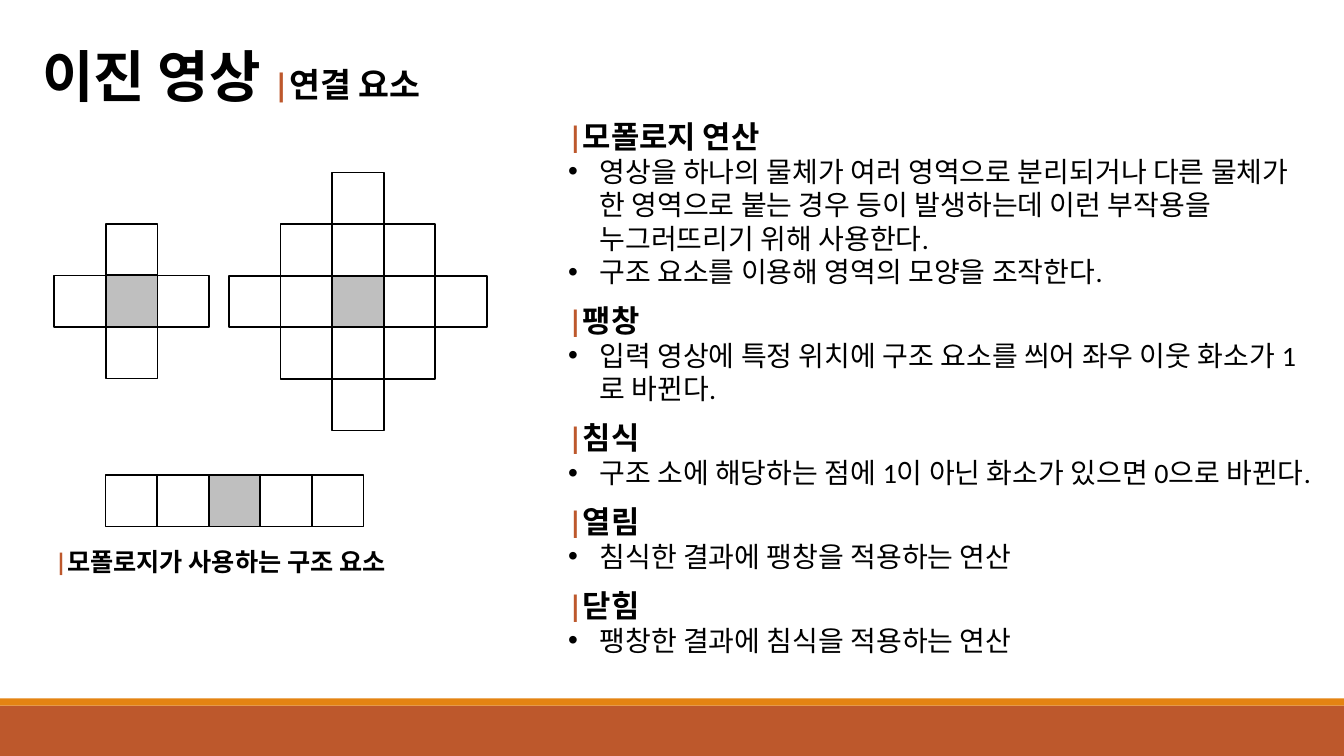
import pptx
import pptx.dml.color
import pptx.enum.shapes
import pptx.enum.text
import pptx.oxml.ns
import pptx.util
from lxml import etree
from pptx.util import Cm

RUST = pptx.dml.color.RGBColor(0xBD, 0x58, 0x2C)
ORANGE = pptx.dml.color.RGBColor(0xE4, 0x83, 0x12)
BLACK = pptx.dml.color.RGBColor(0, 0, 0)
WHITE = pptx.dml.color.RGBColor(0xFF, 0xFF, 0xFF)
GRAY = pptx.dml.color.RGBColor(0xBF, 0xBF, 0xBF)

LATIN = "Calibri"
HANGUL = "Noto Sans CJK KR"
CELL = 1.3
INDENT = Cm(0.79)

TOPICS = [
    ("모폴로지 연산", [
        "영상을 하나의 물체가 여러 영역으로 분리되거나 다른 물체가 한 영역으로 "
        "붙는 경우 등이 발생하는데 이런 부작용을 누그러뜨리기 위해 사용한다.",
        "구조 요소를 이용해 영역의 모양을 조작한다."]),
    ("팽창", ["입력 영상에 특정 위치에 구조 요소를 씌어 좌우 이웃 화소가 1로 바뀐다."]),
    ("침식", ["구조 소에 해당하는 점에 1이 아닌 화소가 있으면 0으로 바뀐다."]),
    ("열림", ["침식한 결과에 팽창을 적용하는 연산"]),
    ("닫힘", ["팽창한 결과에 침식을 적용하는 연산"]),
]


def add_rect(slide, left, top, width, height, fill, line=None):
    rect = slide.shapes.add_shape(
        pptx.enum.shapes.MSO_SHAPE.RECTANGLE, Cm(left), Cm(top), Cm(width), Cm(height))
    rect.shadow.inherit = False
    rect.fill.solid()
    rect.fill.fore_color.rgb = fill
    if line is None:
        rect.line.fill.background()
    else:
        rect.line.color.rgb = line
        rect.line.width = pptx.util.Pt(1.25)


def add_cells(slide, left, top, spots):
    """Draw cells at (column, row) steps from a gray centre cell."""
    for col, row in spots:
        fill = GRAY if (col, row) == (0, 0) else WHITE
        add_rect(slide, left + col * CELL, top + row * CELL, CELL, CELL, fill, BLACK)


def diamond(reach):
    steps = range(-reach, reach + 1)
    return [(col, row) for row in steps for col in steps if abs(col) + abs(row) <= reach]


def add_box(slide, left, top, width, height, wrap=True):
    box = slide.shapes.add_textbox(Cm(left), Cm(top), Cm(width), Cm(height))
    box.text_frame.word_wrap = wrap
    return box.text_frame


def add_run(para, text, size, color=BLACK, bold=True, face=LATIN):
    run = para.add_run()
    run.text = text
    font = run.font
    font.size = pptx.util.Pt(size)
    font.bold = bold
    font.color.rgb = color
    font.name = face
    east = etree.SubElement(run._r.get_or_add_rPr(), pptx.oxml.ns.qn("a:ea"))
    east.set("typeface", HANGUL)


def add_head(para, text, size):
    """Add a rust bar followed by a bold heading."""
    add_run(para, "|", size, RUST)
    add_run(para, text, size)


def add_point(para, text):
    props = para._p.get_or_add_pPr()
    props.set("marL", str(INDENT))
    props.set("indent", str(-INDENT))
    font = etree.SubElement(props, pptx.oxml.ns.qn("a:buFont"))
    font.set("typeface", "Arial")
    mark = etree.SubElement(props, pptx.oxml.ns.qn("a:buChar"))
    mark.set("char", "•")
    para.line_spacing = pptx.util.Pt(23.9)
    add_run(para, text, 20, bold=False)


def add_topics(frame):
    para = frame.paragraphs[0]
    for index, (head, points) in enumerate(TOPICS):
        if index:
            para = frame.add_paragraph()
            para.space_before = pptx.util.Pt(9.6)
        para.line_spacing = pptx.util.Pt(26.3)
        add_head(para, head, 22)
        for point in points:
            add_point(frame.add_paragraph(), point)


def main():
    deck = pptx.Presentation()
    deck.slide_width = Cm(33.87)
    deck.slide_height = Cm(19.05)
    slide = deck.slides.add_slide(deck.slide_layouts[6])

    add_rect(slide, 0, 17.78, 33.87, 1.27, RUST)
    add_rect(slide, 0, 17.6, 33.87, 0.18, ORANGE)

    title = add_box(slide, 0.81, 0.91, 11.23, 1.96, wrap=False).paragraphs[0]
    title.line_spacing = pptx.util.Pt(48)
    add_run(title, "이진 영상 ", 40, face=HANGUL)
    add_head(title, "연결 요소", 24)

    add_topics(add_box(slide, 14.07, 2.84, 19.23, 14.88))

    add_cells(slide, 2.67, 6.94, diamond(1))
    add_cells(slide, 8.37, 6.95, diamond(2))
    add_cells(slide, 5.26, 11.97, [(col, 0) for col in range(-2, 3)])

    label = add_box(slide, 1.14, 13.64, 10.9, 1.02).paragraphs[0]
    label.line_spacing = pptx.util.Pt(21.6)
    add_head(label, "모폴로지가 사용하는 구조 요소", 18)

    deck.save("out.pptx")


if __name__ == "__main__":
    main()
